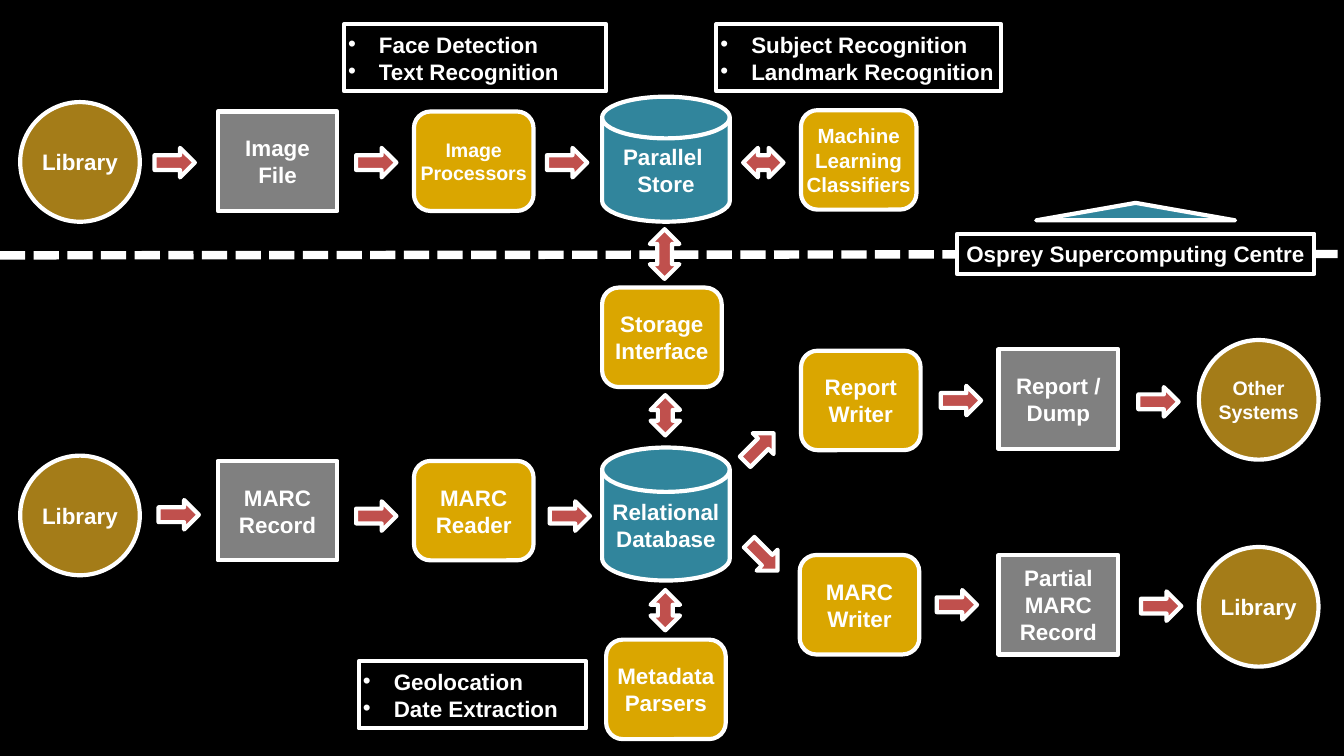
from copy import deepcopy
from dataclasses import dataclass

from lxml import etree
from pptx import Presentation
from pptx.dml.color import RGBColor
from pptx.enum.dml import MSO_LINE
from pptx.enum.shapes import MSO_CONNECTOR, MSO_SHAPE
from pptx.enum.text import MSO_ANCHOR, MSO_AUTO_SIZE, PP_ALIGN
from pptx.oxml.ns import qn
from pptx.util import Inches, Pt

RECT = MSO_SHAPE.RECTANGLE
ROUND = MSO_SHAPE.ROUNDED_RECTANGLE
OVAL = MSO_SHAPE.OVAL
DISK = MSO_SHAPE.FLOWCHART_MAGNETIC_DISK
PEAK = MSO_SHAPE.FLOWCHART_EXTRACT
RIGHT = MSO_SHAPE.RIGHT_ARROW
LEFT = MSO_SHAPE.LEFT_ARROW
BOTH = MSO_SHAPE.LEFT_RIGHT_ARROW
STRAIGHT = MSO_CONNECTOR.STRAIGHT
DASH = MSO_LINE.SQUARE_DOT
CENTER, START = PP_ALIGN.CENTER, PP_ALIGN.LEFT
MIDDLE, TOP = MSO_ANCHOR.MIDDLE, MSO_ANCHOR.TOP
GROW = MSO_AUTO_SIZE.SHAPE_TO_FIT_TEXT


@dataclass(frozen=True)
class Theme:
    font: str = "Arial"
    back: str = "000000"
    white: str = "FFFFFF"
    data: str = "808080"
    step: str = "DAA600"
    store: str = "31859C"
    actor: str = "A47C18"
    arrow: str = "C0504D"
    body: float = 12
    mid: float = 11
    small: float = 10.5
    edge: float = 2.25
    thick: float = 4.5


def color(code):
    return RGBColor.from_string(code)


def write(shape, text, *, theme, size, align=CENTER, anchor=MIDDLE,
          side=0, bullet=False, wrap=True, grow=False):
    """Fill a shape with text; a newline is a break, or a new item in a list."""
    frame = shape.text_frame
    frame.word_wrap = wrap
    frame.vertical_anchor = anchor
    frame.margin_left = frame.margin_right = Inches(side)
    frame.margin_top = frame.margin_bottom = Inches(0.05)
    if grow:
        frame.auto_size = GROW
    frame.text = text if bullet else text.replace("\n", "\v")
    for para in frame.paragraphs:
        para.alignment = align
        for run in para.runs:
            run.font.name = theme.font
            run.font.size = Pt(size)
            run.font.bold = True
            run.font.color.rgb = color(theme.white)
        for gap in para._p.findall(qn("a:br")):
            gap.append(deepcopy(para.runs[0]._r.rPr))
        if bullet:
            props = para._p.get_or_add_pPr()
            props.set("marL", str(Inches(0.23)))
            props.set("indent", str(Inches(-0.23)))
            etree.SubElement(props, qn("a:buFont")).set("typeface", theme.font)
            etree.SubElement(props, qn("a:buChar")).set("char", "•")


class Chart:
    def __init__(self, slide, theme):
        self.slide = slide
        self.theme = theme
        fill = slide.background.fill
        fill.solid()
        fill.fore_color.rgb = color(theme.back)
        self.looks = {RECT: theme.data, ROUND: theme.step,
                      OVAL: theme.actor, DISK: theme.store}

    def shape(self, kind, x, y, w, h, fill=None):
        item = self.slide.shapes.add_shape(
            kind, Inches(x), Inches(y), Inches(w), Inches(h))
        item.shadow.inherit = False
        if fill:
            item.fill.solid()
            item.fill.fore_color.rgb = color(fill)
        else:
            item.fill.background()
        item.line.color.rgb = color(self.theme.white)
        item.line.width = Pt(self.theme.edge)
        return item

    def node(self, kind, x, y, text, w=0.89, h=0.74, size=None):
        item = self.shape(kind, x, y, w, h, self.looks[kind])
        write(item, text, theme=self.theme, size=size or self.theme.body)

    def arrow(self, x, y, kind=RIGHT, turn=0, w=0.3):
        item = self.shape(kind, x, y, w, 0.22, self.theme.arrow)
        item.rotation = turn

    def note(self, x, y, w, text, wrap=True):
        item = self.shape(RECT, x, y, w, 0.5)
        write(item, text, theme=self.theme, size=self.theme.body, align=START,
              anchor=TOP, side=0.03, bullet=True, wrap=wrap, grow=True)

    def label(self, x, y, w, h, text):
        item = self.shape(RECT, x, y, w, h, self.theme.back)
        write(item, text, theme=self.theme, size=self.theme.body,
              anchor=TOP, side=0.03, grow=True)

    def border(self, y, end):
        line = self.slide.shapes.add_connector(
            STRAIGHT, Inches(0), Inches(y), Inches(10), Inches(end))
        line.line.color.rgb = color(self.theme.white)
        line.line.width = Pt(self.theme.thick)
        line.line.dash_style = DASH
        etree.SubElement(line._element.spPr, qn("a:effectLst"))


def main():
    deck = Presentation()
    deck.slide_width = Inches(10)
    deck.slide_height = deck.slide_width * 9 // 16
    theme = Theme()
    chart = Chart(deck.slides.add_slide(deck.slide_layouts[6]), theme)
    col = [0.15, 1.62, 3.08, 4.48, 5.96, 7.43, 8.92]

    chart.border(1.9, 1.89)

    for x, y, text, size in [
        (col[0], 0.76, "Library", theme.body),
        (col[0], 3.39, "Library", theme.body),
        (col[6], 2.53, "Other Systems", theme.small),
        (col[6], 4.07, "Library", theme.body),
    ]:
        chart.node(OVAL, x, y, text, h=0.89, size=size)

    for x, y, text in [
        (col[1], 0.83, "Image\nFile"),
        (col[1], 3.43, "MARC\nRecord"),
        (col[5], 2.6, "Report / Dump"),
        (col[5], 4.13, "Partial MARC\nRecord"),
    ]:
        chart.node(RECT, x, y, text)

    for x, y, text in [
        (col[2], 3.43, "MARC\nReader"),
        (col[3], 2.14, "Storage Interface"),
        (4.51, 4.76, "Metadata\nParsers"),
        (col[4], 2.61, "Report\nWriter"),
        (5.95, 4.13, "MARC\nWriter"),
    ]:
        chart.node(ROUND, x, y, text)
    chart.node(ROUND, col[2], 0.83, "Image Processors", size=theme.small)
    chart.node(ROUND, col[4], 0.82, "Machine\nLearning\nClassifiers",
               w=0.86, size=theme.mid)

    chart.node(DISK, col[3], 0.72, "Parallel \nStore", w=0.95, h=0.93)
    chart.node(DISK, col[3], 3.33, "Relational\nDatabase", w=0.95, h=0.99)

    for x, y in [
        (1.15, 1.1), (2.65, 1.1), (4.07, 1.1),
        (1.18, 3.72), (2.65, 3.73), (4.09, 3.73),
        (7, 2.87), (8.47, 2.88),
        (6.97, 4.39), (8.49, 4.4),
    ]:
        chart.arrow(x, y)
    chart.arrow(5.53, 4.03, turn=45)
    chart.arrow(5.5, 3.22, LEFT, turn=135)
    chart.arrow(5.53, 1.1, BOTH)
    chart.arrow(4.76, 1.78, BOTH, turn=270, w=0.37)
    for y in (2.98, 4.43):
        chart.arrow(4.8, y, BOTH, turn=270)

    chart.note(2.56, 0.18, 1.95, "Face Detection\nText Recognition")
    chart.note(5.33, 0.18, 2.12, "Subject Recognition\nLandmark Recognition",
               wrap=False)
    chart.note(2.67, 4.92, 1.69, "Geolocation\nDate Extraction")

    chart.shape(PEAK, 7.71, 1.51, 1.48, 0.13, theme.store)
    chart.label(7.12, 1.74, 2.66, 0.3, "Osprey Supercomputing Centre")

    deck.save("out.pptx")


if __name__ == "__main__":
    main()
